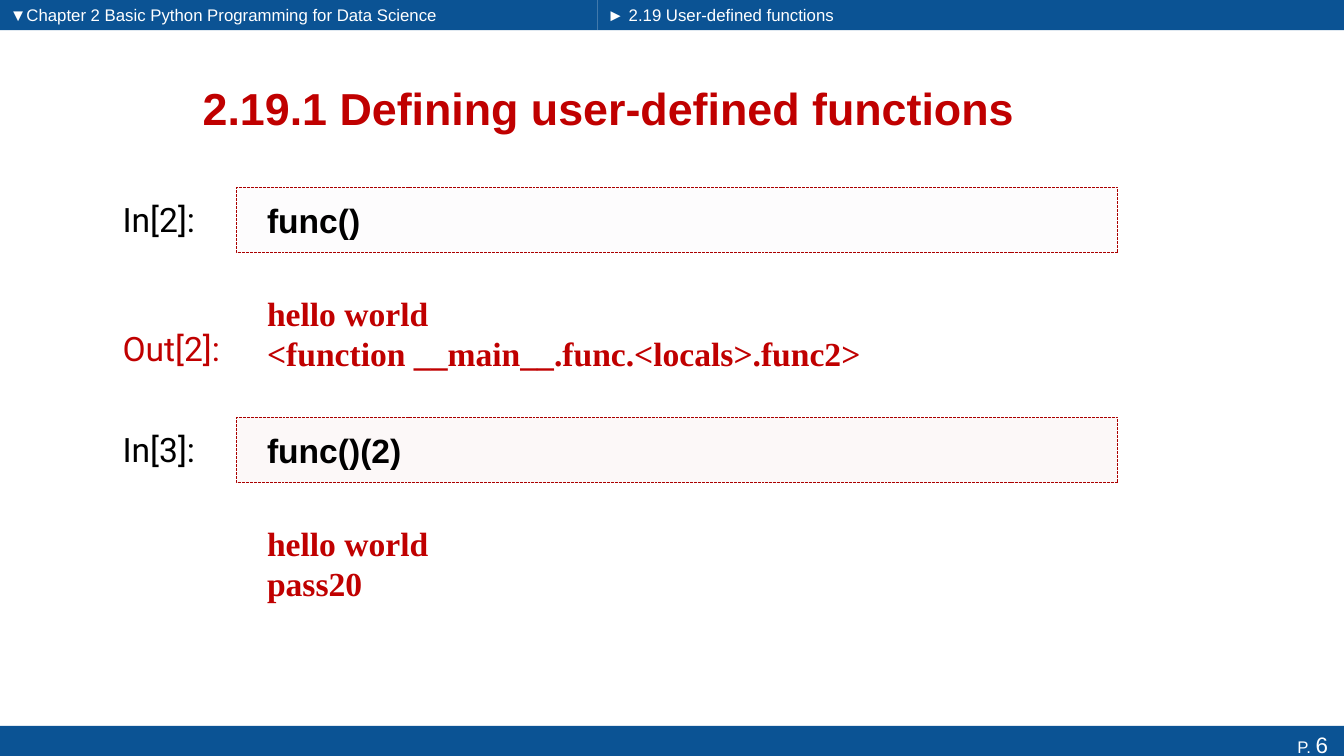
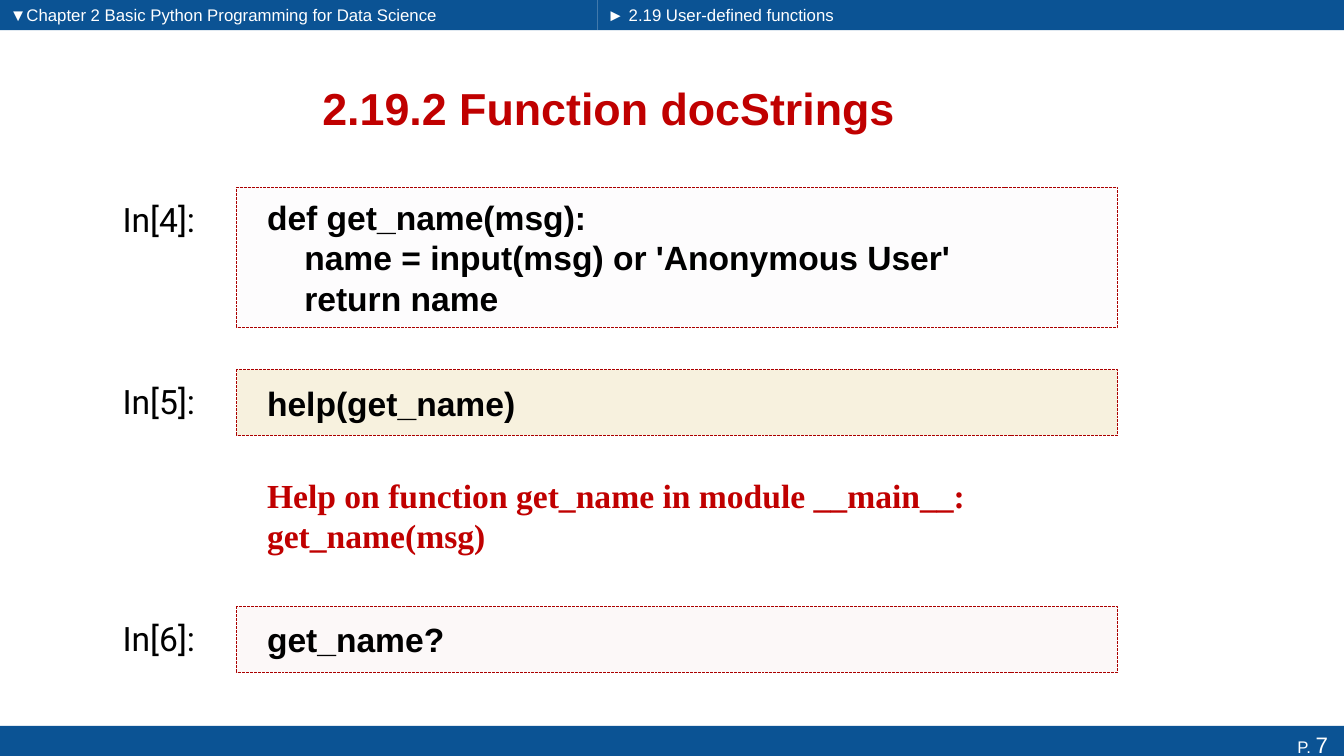
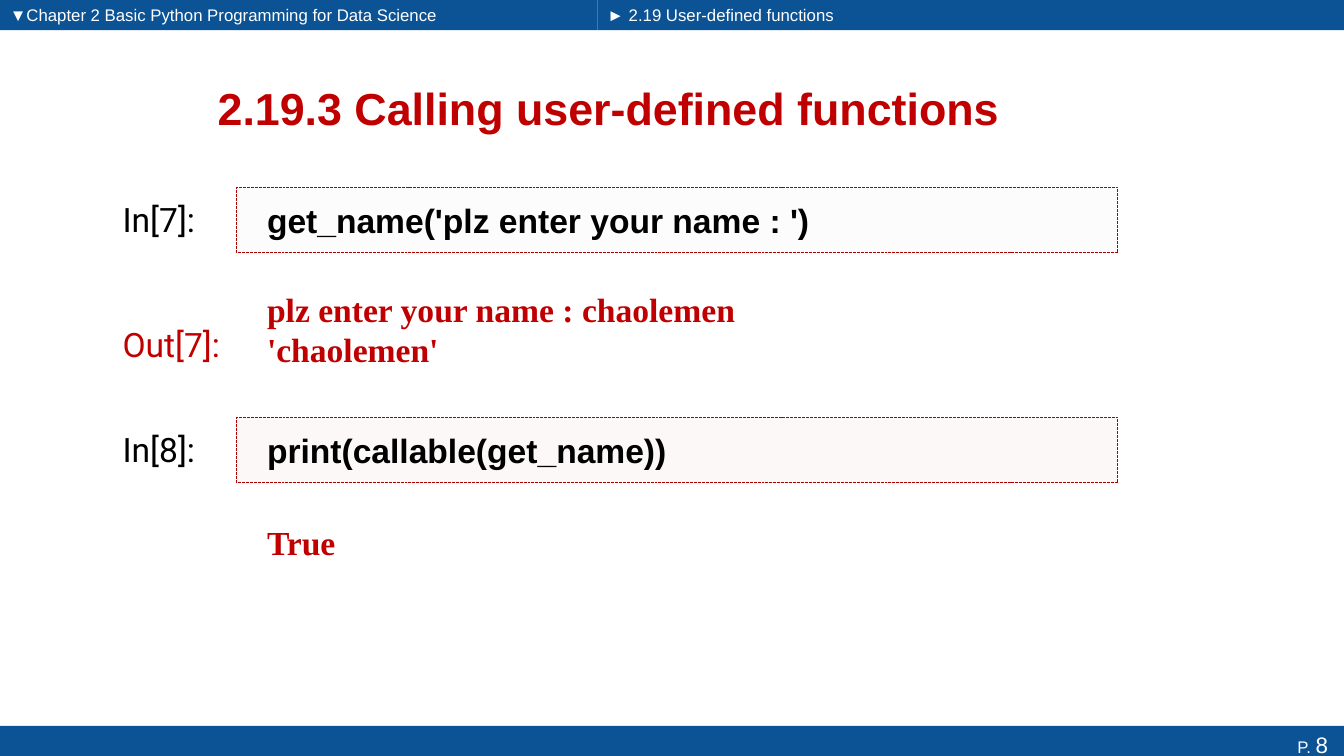
from lxml import etree
from pptx import Presentation
from pptx.dml.color import RGBColor
from pptx.enum.dml import MSO_LINE
from pptx.enum.shapes import MSO_SHAPE
from pptx.enum.text import MSO_ANCHOR, PP_ALIGN
from pptx.oxml.ns import qn
from pptx.util import Cm, Pt

RECT = MSO_SHAPE.RECTANGLE
DASH = MSO_LINE.SQUARE_DOT
TOP, MIDDLE = MSO_ANCHOR.TOP, MSO_ANCHOR.MIDDLE
LEFT, CENTER, RIGHT = PP_ALIGN.LEFT, PP_ALIGN.CENTER, PP_ALIGN.RIGHT

COLORS = {
    "band": "0B5394",
    "white": "FFFFFF",
    "black": "000000",
    "red": "C00000",
    "border": "AB0000",
    "lilac": "F1EEF4",
    "cream": "F7F1DE",
    "rose": "EDCDCB",
}
ALPHA = {"lilac": 13, "rose": 13}

SLIDE_W, SLIDE_H = 33.87, 19.05
BAND_H, BAND_SPLIT = 0.76, 15.06
FOOTER_TOP, FOOTER_H = 18.29, 0.94
LABEL_X, LABEL_H = 2.84, 1.27
IN_W, OUT_W = 2.82, 3.43
CELL_X, CELL_W = 5.97, 22.2
CELL_INSET = 0.76
OUTPUT_GAP = 0.67

HEADERS = [
    (0, BAND_SPLIT, "▼Chapter 2 Basic Python Programming for Data Science"),
    (BAND_SPLIT, SLIDE_W - BAND_SPLIT, "► 2.19 User-defined functions"),
]

SLIDES = [
    (6, "2.19.1 Defining user-defined functions", [
        (4.72, 1.65, "lilac", "In[2]:", ["func()"],
         2.69, "Out[2]:", ["hello world", "<function __main__.func.<locals>.func2>"]),
        (10.52, 1.65, "rose", "In[3]:", ["func()(2)"],
         2.69, None, ["hello world", "pass20"]),
    ]),
    (7, "2.19.2 Function docStrings", [
        (4.72, 3.53, "lilac", "In[4]:",
         ["def get_name(msg):",
          "    name = input(msg) or 'Anonymous User'",
          "    return name"],
         0, None, []),
        (9.32, 1.65, "cream", "In[5]:", ["help(get_name)"],
         2.69, None, ["Help on function get_name in module __main__:", "get_name(msg)"]),
        (15.29, 1.65, "rose", "In[6]:", ["get_name?"], 0, None, []),
    ]),
    (8, "2.19.3 Calling user-defined functions", [
        (4.72, 1.65, "lilac", "In[7]:", ["get_name('plz enter your name : ')"],
         2.49, "Out[7]:", ["plz enter your name : chaolemen", "'chaolemen'"]),
        (10.52, 1.65, "rose", "In[8]:", ["print(callable(get_name))"],
         1.65, None, ["True"]),
    ]),
]


def add_box(s, x, y, w, h, fill=None):
    if fill is None:
        return s.shapes.add_textbox(Cm(x), Cm(y), Cm(w), Cm(h))
    sp = s.shapes.add_shape(RECT, Cm(x), Cm(y), Cm(w), Cm(h))
    sp.shadow.inherit = False
    sp.fill.solid()
    sp.fill.fore_color.rgb = RGBColor.from_string(COLORS[fill])
    sp.line.fill.background()
    if fill in ALPHA:
        color = sp._element.spPr.find(qn("a:solidFill")).find(qn("a:srgbClr"))
        etree.SubElement(color, qn("a:alpha"), val=str(ALPHA[fill] * 1000))
    return sp


def write(sp, lines, size, color, font="Arial", bold=False, align=LEFT, anchor=MIDDLE, inset=0.25):
    tf = sp.text_frame
    tf.word_wrap = True
    tf.vertical_anchor = anchor
    tf.margin_left = Cm(inset)
    for i, line in enumerate(lines):
        p = tf.paragraphs[0] if i == 0 else tf.add_paragraph()
        p.text = line
        p.alignment = align
        p.font.name = font
        p.font.size = Pt(size)
        p.font.bold = bold
        p.font.color.rgb = RGBColor.from_string(COLORS[color])
    return tf


prs = Presentation()
prs.slide_width, prs.slide_height = Cm(SLIDE_W), Cm(SLIDE_H)

for page, title, cells in SLIDES:
    s = prs.slides.add_slide(prs.slide_layouts[6])

    for x, w, text in HEADERS:
        write(add_box(s, x, 0, w, BAND_H, "band"), [text], 12, "white")

    footer = add_box(s, 0, FOOTER_TOP, SLIDE_W, FOOTER_H, "band")
    tf = write(footer, ["P. "], 12, "white", align=RIGHT, anchor=TOP)
    tf.margin_right = Cm(0.4)
    r = tf.paragraphs[0].add_run()
    r.text = str(page)
    r.font.size = Pt(16)

    write(add_box(s, 1.73, 1.57, 27.23, 2.29), [title], 32, "red", bold=True, align=CENTER)

    for top, height, fill, in_label, code, out_height, out_label, output in cells:
        write(add_box(s, LABEL_X, top + 0.16, IN_W, LABEL_H),
              [in_label], 24, "black", "Roboto", anchor=TOP)
        sp = add_box(s, CELL_X, top, CELL_W, height, fill)
        sp.line.color.rgb = RGBColor.from_string(COLORS["border"])
        sp.line.width = Pt(0.7)
        sp.line.dash_style = DASH
        write(sp, code, 24, "black", bold=True, inset=CELL_INSET)

        out_top = top + height + OUTPUT_GAP
        if out_label:
            write(add_box(s, LABEL_X, out_top + out_height / 2 - 0.25, OUT_W, LABEL_H),
                  [out_label], 24, "red", "Roboto", anchor=TOP)
        if output:
            write(add_box(s, CELL_X, out_top, CELL_W, out_height),
                  output, 24, "red", "Times New Roman", bold=True, inset=CELL_INSET)

prs.save("out.pptx")
